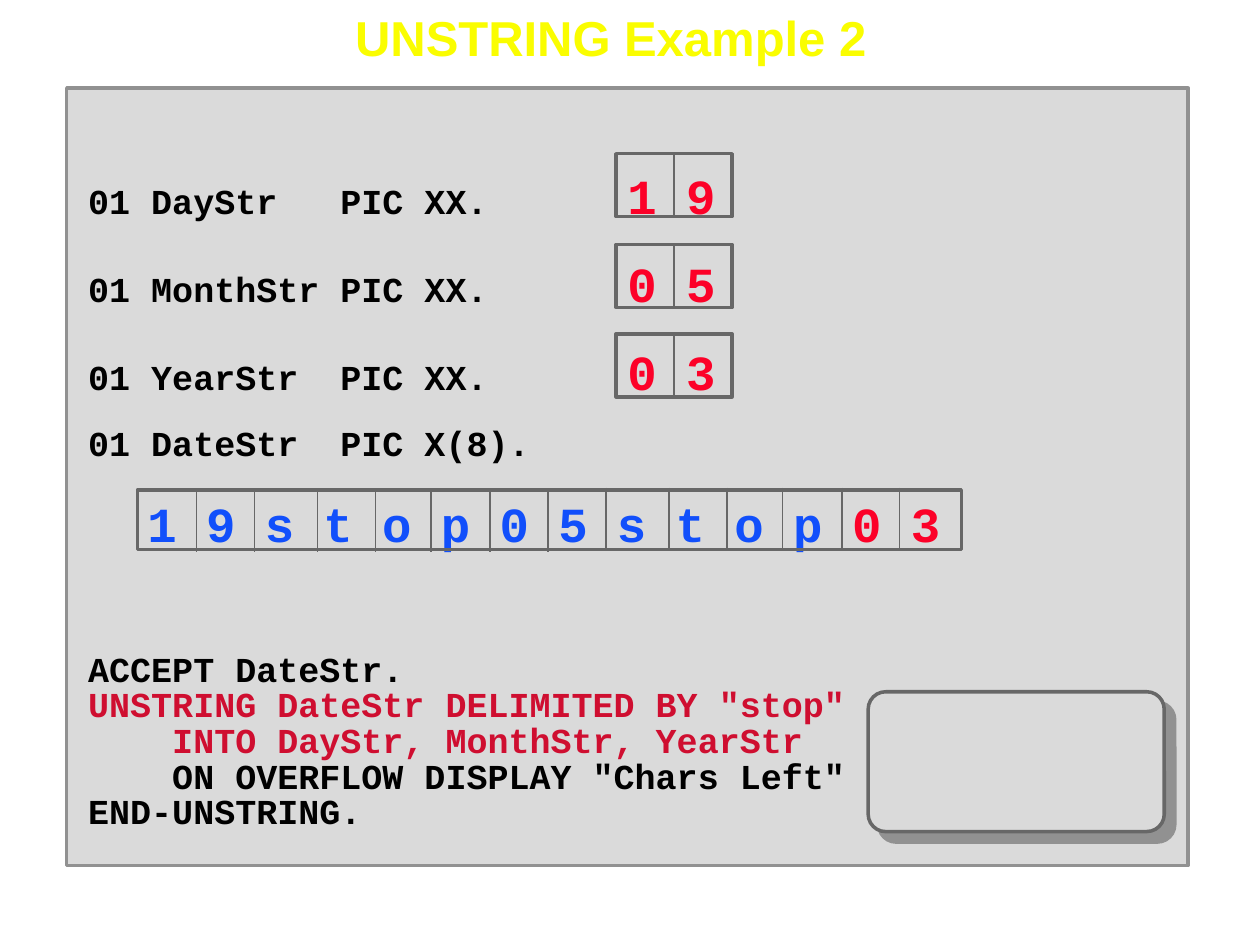
from lxml import etree
from pptx import Presentation
from pptx.dml.color import RGBColor
from pptx.enum.shapes import MSO_CONNECTOR, MSO_SHAPE
from pptx.enum.text import MSO_ANCHOR, PP_ALIGN
from pptx.oxml.ns import qn
from pptx.util import Inches, Pt

BLACK, RED, BLUE, CRIMSON = "000000", "FC0128", "114FFB", "CF0E30"
YELLOW, PANEL, PANEL_EDGE, EDGE = "FAFD00", "DADADA", "919191", "676767"
CODE_SIZE, VALUE_SIZE = 20, 28
VALUE_TAB = 4.28
BLANK_LINES_GAP = 58
FIELD_TOPS = {"DayStr": 1.22, "MonthStr": 1.94, "YearStr": 2.65}
DIVIDER_OFFSETS = [0, 0.46, 0.96, 1.42, 1.86, 2.33, 2.79]


def color(hex_value):
    return RGBColor.from_string(hex_value)


def set_attributes(target, values):
    for name, value in values.items():
        setattr(target, name, value)


def add_box(shapes, kind, at, line, fill=None):
    shape = shapes.add_shape(kind, *(Inches(value) for value in at))
    shape.shadow.inherit = False
    if fill:
        shape.fill.solid()
        shape.fill.fore_color.rgb = color(fill)
    else:
        shape.fill.background()
    shape.line.color.rgb = color(line)
    shape.line.width = Pt(2)
    return shape


def add_line(shapes, x, top, bottom):
    line = shapes.add_connector(
        MSO_CONNECTOR.STRAIGHT, Inches(x), Inches(top), Inches(x), Inches(bottom))
    line.line.color.rgb = color(EDGE)
    line.line.width = Pt(1)
    etree.SubElement(line._element.spPr, qn("a:effectLst"))
    return line


def add_shadow(shape, hex_value, distance):
    effects = shape._element.spPr.find(qn("a:effectLst"))
    shadow = etree.SubElement(
        effects, qn("a:outerShdw"), blurRad="0", dist=str(Pt(distance)),
        dir=str(45 * 60000), algn="tl", rotWithShape="0")
    etree.SubElement(shadow, qn("a:srgbClr"), val=hex_value)


def add_run(paragraph, text, size, hex_value, font="Courier New"):
    run = paragraph.add_run()
    run.text = text
    set_attributes(run.font, {"name": font, "size": Pt(size), "bold": True})
    run.font.color.rgb = color(hex_value)


def add_paragraph(frame, spacing, before=0):
    paragraph = frame.paragraphs[0]
    if paragraph.runs:
        paragraph = frame.add_paragraph()
    set_attributes(paragraph, {"alignment": PP_ALIGN.LEFT, "line_spacing": spacing})
    if before:
        paragraph.space_before = Pt(before)
    return paragraph


def add_tab(paragraph, position):
    tabs = etree.SubElement(paragraph._p.get_or_add_pPr(), qn("a:tabLst"))
    etree.SubElement(tabs, qn("a:tab"), pos=str(Inches(position)), algn="l")


def add_title(slide):
    title = slide.shapes.add_textbox(
        Inches(2.72), Inches(0.06), Inches(4.26), Inches(0.52))
    set_attributes(title.text_frame, {
        "word_wrap": True, "vertical_anchor": MSO_ANCHOR.BOTTOM, "margin_right": 0})
    paragraph = add_paragraph(title.text_frame, 0.9)
    add_run(paragraph, "UNSTRING Example 2", 28, YELLOW, "Arial")


def add_code_panel(slide):
    panel = add_box(slide.shapes, MSO_SHAPE.RECTANGLE, (0.53, 0.7, 8.9, 6.17),
                    PANEL_EDGE, PANEL)
    frame = panel.text_frame
    set_attributes(frame, {
        "word_wrap": True, "vertical_anchor": MSO_ANCHOR.TOP,
        "margin_left": Inches(0.17), "margin_right": Inches(0.17),
        "margin_top": Inches(0.38), "margin_bottom": Inches(0.38)})

    # Declarations with their values
    for name, value in zip(FIELD_TOPS, ("1 9", "0 5", "0 3")):
        paragraph = add_paragraph(frame, 1.5)
        add_tab(paragraph, VALUE_TAB)
        add_run(paragraph, f"01 {name:<8} PIC XX.", CODE_SIZE, BLACK)
        add_run(paragraph, "\t" + value, VALUE_SIZE, RED)
    add_run(add_paragraph(frame, 1.5), "01 DateStr  PIC X(8).", CODE_SIZE, BLACK)

    # Characters of the source string
    paragraph = add_paragraph(frame, 1.5)
    paragraph._p.get_or_add_pPr().set("marL", str(Inches(0.47)))
    add_run(paragraph, "1 9 s t o p 0 5 s t o p ", VALUE_SIZE, BLUE)
    add_run(paragraph, "0 3", VALUE_SIZE, RED)

    # Statements
    add_run(add_paragraph(frame, 0.85, BLANK_LINES_GAP), "ACCEPT DateStr.",
            CODE_SIZE, BLACK)
    paragraph = add_paragraph(frame, 0.85)
    add_run(paragraph, 'UNSTRING DateStr DELIMITED BY "stop"', CODE_SIZE, CRIMSON)
    paragraph.add_line_break()
    add_run(paragraph, "    INTO DayStr, MonthStr, YearStr", CODE_SIZE, CRIMSON)
    for text in ('    ON OVERFLOW DISPLAY "Chars Left"', "END-UNSTRING."):
        add_run(add_paragraph(frame, 0.85), text, CODE_SIZE, BLACK)


def add_field_cells(slide, top):
    group = slide.shapes.add_group_shape()
    box = add_box(group.shapes, MSO_SHAPE.RECTANGLE, (4.89, top, 0.92, 0.5), EDGE)
    divider = add_line(group.shapes, 5.35, top, top + 0.5)
    divider.begin_connect(box, 0)
    divider.end_connect(box, 2)


def add_string_cells(slide):
    add_box(slide.shapes, MSO_SHAPE.RECTANGLE, (1.09, 3.89, 6.54, 0.47), EDGE)
    for start, top, offsets in ((1.56, 3.88, DIVIDER_OFFSETS),
                                (4.35, 3.87, DIVIDER_OFFSETS[1:])):
        for offset in offsets:
            add_line(slide.shapes, start + offset, top, top + 0.5)


def main():
    presentation = Presentation()
    set_attributes(presentation, {
        "slide_width": Inches(10), "slide_height": Inches(7.5)})
    slide = presentation.slides.add_slide(presentation.slide_layouts[6])

    add_title(slide)
    add_code_panel(slide)
    for top in FIELD_TOPS.values():
        add_field_cells(slide, top)
    add_string_cells(slide)

    # Empty display area
    display = add_box(slide.shapes, MSO_SHAPE.ROUNDED_RECTANGLE,
                      (6.89, 5.49, 2.35, 1.11), EDGE, PANEL)
    display.adjustments[0] = 0.125
    add_shadow(display, PANEL_EDGE, 8.5)

    presentation.save("out.pptx")


if __name__ == "__main__":
    main()
